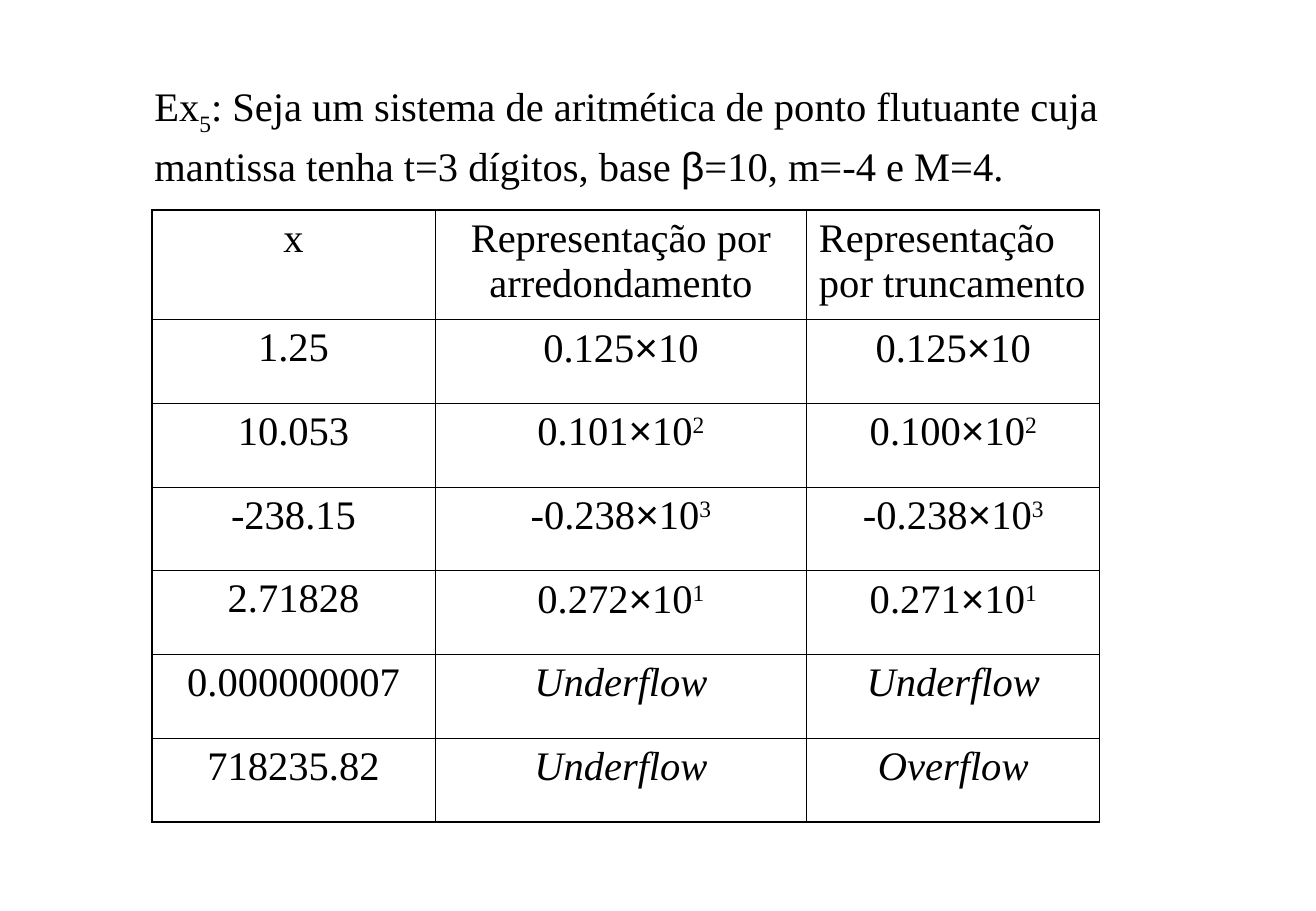
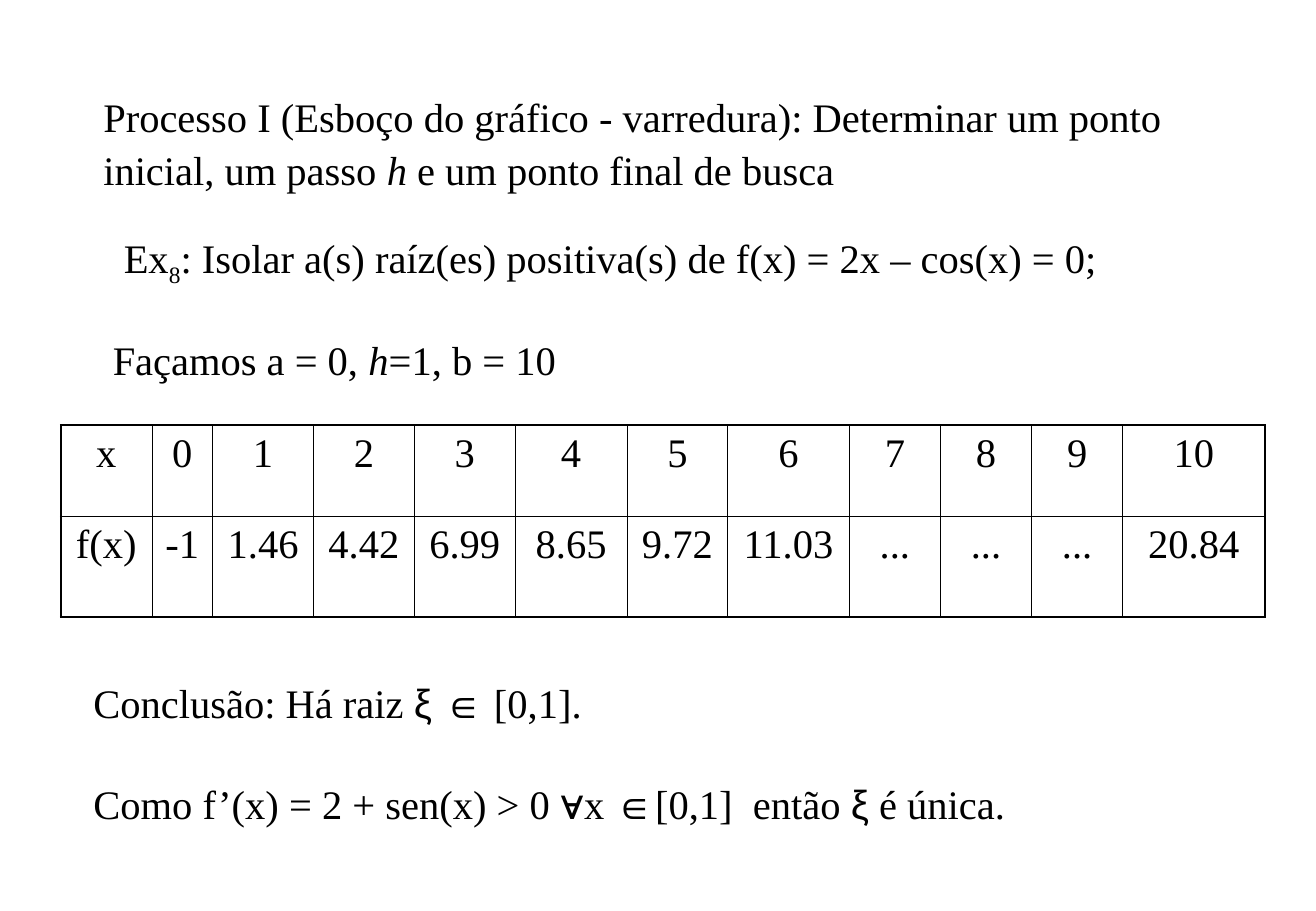
from lxml import etree
from pptx import Presentation
from pptx.dml.color import RGBColor
from pptx.enum import text as t
from pptx.oxml import ns
from pptx.util import Inches, Pt

BLACK = RGBColor(0x00, 0x00, 0x00)
BODY_FONT, SYMBOL_FONT = "Times New Roman", "Arial"
TEXT_SIZE = Pt(24)
LINE_SPACING = 1.09
THIN, THICK = Pt(0.45), Pt(1.08)
LEFT, CENTER = t.PP_ALIGN.LEFT, t.PP_ALIGN.CENTER
TITLE_ONLY = 5
BASELINES = {"sub": "-25000", "sup": "30000"}


def write(frame, spans, align=LEFT, spacing=None):
    """Fill a frame with spans: plain strings or (text, style) pairs."""
    frame.word_wrap = True
    para = frame.paragraphs[0]
    para.alignment = align
    if spacing:
        para.line_spacing = spacing
    for item in spans:
        content, style = (item, "") if isinstance(item, str) else item
        span = para.add_run()
        span.text = content
        span.font.name = SYMBOL_FONT if style == "symbol" else BODY_FONT
        span.font.size = TEXT_SIZE
        span.font.color.rgb = BLACK
        if style == "italic":
            span.font.italic = True
        if style in BASELINES:
            span.font._element.set("baseline", BASELINES[style])


def add_heading(page, box, spans):
    title = page.shapes.title
    title.left, title.top, title.width, title.height = map(Inches, box)
    frame = title.text_frame
    frame.auto_size = t.MSO_AUTO_SIZE.NONE
    frame.vertical_anchor = t.MSO_ANCHOR.TOP
    write(frame, spans, spacing=LINE_SPACING)


def add_text(page, box, spans):
    frame = page.shapes.add_textbox(*map(Inches, box)).text_frame
    write(frame, spans, spacing=LINE_SPACING)


def set_borders(cell, widths):
    """Draw left, right, top and bottom borders, in that order."""
    props = cell._tc.get_or_add_tcPr()
    for index, (side, width) in enumerate(zip("LRTB", widths)):
        line = etree.Element(ns.qn(f"a:ln{side}"), w=str(int(width)))
        fill = etree.SubElement(line, ns.qn("a:solidFill"))
        etree.SubElement(fill, ns.qn("a:srgbClr"), val=str(BLACK))
        props.insert(index, line)


def add_grid(page, left, top, columns, heights, rows, left_cells=()):
    """Add a table with thin inner lines and a thick frame."""
    frame = page.shapes.add_table(
        len(heights), len(columns), Inches(left), Inches(top),
        Inches(sum(columns)), Inches(sum(heights)))
    table = frame.table
    table.first_row = table.horz_banding = False
    for column, width in zip(table.columns, columns):
        column.width = Inches(width)
    last_row, last_column = len(heights) - 1, len(columns) - 1
    for r, (row, height) in enumerate(zip(rows, heights)):
        table.rows[r].height = Inches(height)
        for c, spans in enumerate(row):
            cell = table.cell(r, c)
            cell.fill.background()
            write(cell.text_frame, spans,
                  LEFT if (r, c) in left_cells else CENTER)
            edges = (c == 0, c == last_column, r == 0, r == last_row)
            set_borders(cell, [THICK if edge else THIN for edge in edges])


def power(mantissa, exponent=""):
    """Spans for a mantissa times a power of ten."""
    spans = [mantissa, ("×", "symbol"), "10"]
    return spans + [(exponent, "sup")] if exponent else spans


def build_rounding_slide(page):
    add_heading(page, (1.17, 0.58, 8.08, 0.96), [
        "Ex", ("5", "sub"),
        ": Seja um sistema de aritmética de ponto flutuante cuja mantissa "
        "tenha t=3 dígitos, base ", ("β", "symbol"), "=10, m=-4 e M=4."])
    underflow, overflow = [("Underflow", "italic")], [("Overflow", "italic")]
    rows = [
        (["x"], ["Representação por arredondamento"],
         ["Representação por truncamento"]),
        (["1.25"], power("0.125"), power("0.125")),
        (["10.053"], power("0.101", "2"), power("0.100", "2")),
        (["-238.15"], power("-0.238", "3"), power("-0.238", "3")),
        (["2.71828"], power("0.272", "1"), power("0.271", "1")),
        (["0.000000007"], underflow, underflow),
        (["718235.82"], underflow, overflow),
    ]
    add_grid(page, 1.25, 1.73, [2.33, 3.06, 2.41], [0.9] + [0.69] * 6, rows,
             left_cells={(0, 2)})


def build_scan_slide(page):
    add_heading(page, (0.75, 0.67, 8.92, 0.9), [
        "Processo I (Esboço do gráfico - varredura): Determinar um ponto "
        "inicial, um passo ", ("h", "italic"), " e um ponto final de busca"])
    # Example and its parameters
    add_text(page, (0.92, 1.83, 8.75, 0.56), [
        "Ex", ("8", "sub"),
        ": Isolar a(s) raíz(es) positiva(s) de f(x) = 2x – cos(x) = 0;"])
    add_text(page, (0.83, 2.67, 9.17, 0.5), [
        "Façamos a = 0, ", ("h", "italic"), "=1, b = 10"])
    # Scanned values
    values = ["-1", "1.46", "4.42", "6.99", "8.65", "9.72", "11.03",
              "...", "...", "...", "20.84"]
    rows = [[["x"]] + [[str(x)] for x in range(11)],
            [["f(x)"]] + [[value] for value in values]]
    columns = [0.75, 0.5, 0.83, 0.83, 0.83, 0.92, 0.83, 1,
               0.75, 0.75, 0.75, 1.17]
    add_grid(page, 0.5, 3.5, columns, [0.75, 0.83], rows)
    # Conclusions
    add_text(page, (0.67, 5.5, 7.92, 0.5), [
        "Conclusão: Há raiz ", ("ξ ∈", "symbol"), " [0,1]."])
    add_text(page, (0.67, 6.33, 9.58, 0.5), [
        "Como f’(x) = 2 + sen(x) > 0 ", ("∀", "symbol"), "x ",
        ("∈", "symbol"), "[0,1]  então ", ("ξ", "symbol"), " é única."])


def main():
    deck = Presentation()
    deck.slide_width, deck.slide_height = Inches(10.83), Inches(7.5)
    for build in (build_rounding_slide, build_scan_slide):
        build(deck.slides.add_slide(deck.slide_layouts[TITLE_ONLY]))
    deck.save("out.pptx")


if __name__ == "__main__":
    main()
